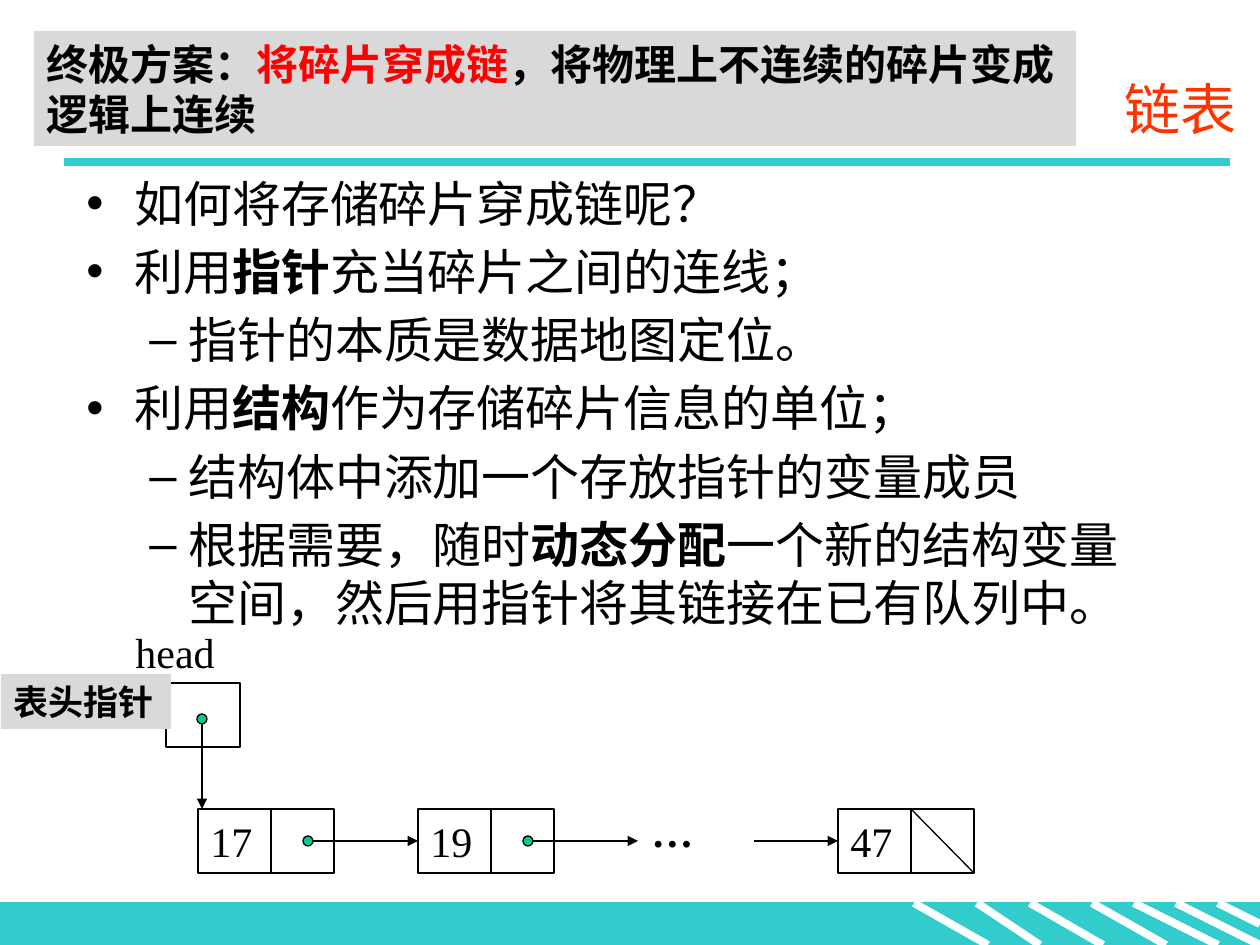
from dataclasses import dataclass

from lxml import etree
from pptx import Presentation
from pptx.dml.color import RGBColor
from pptx.enum.shapes import MSO_CONNECTOR, MSO_SHAPE
from pptx.enum.text import MSO_ANCHOR, PP_ALIGN
from pptx.oxml.ns import qn
from pptx.util import Emu, Pt

STRAIGHT = MSO_CONNECTOR.STRAIGHT
RECT, OVAL = MSO_SHAPE.RECTANGLE, MSO_SHAPE.OVAL
LEFT, RIGHT = PP_ALIGN.LEFT, PP_ALIGN.RIGHT
TOP, MIDDLE = MSO_ANCHOR.TOP, MSO_ANCHOR.MIDDLE
PX_PER_INCH = 126


@dataclass(frozen=True)
class Theme:
    black: str = "000000"
    white: str = "FFFFFF"
    teal: str = "33CCCC"
    green: str = "00CC99"
    orange: str = "FF3300"
    red: str = "FF0000"
    gray: str = "D9D9D9"
    sans: str = "Arial"
    cjk: str = "Noto Sans CJK SC"
    serif: str = "Times New Roman"
    title: int = 32
    body: int = 28
    note: int = 24
    label: int = 20
    thin: float = 0.75
    thick: float = 4.5


THEME = Theme()
BULLETS = (("•", 48, -48), ("–", 102, -39))  # mark, margin, indent per level


def px(length):
    return Emu(round(length * 914400 / PX_PER_INCH))


def rgb(value):
    return RGBColor.from_string(value)


def add_line(slide, start, end, color=THEME.black, width=THEME.thin, arrow=False):
    line = slide.shapes.add_connector(STRAIGHT, *map(px, start + end))
    line.line.color.rgb = rgb(color)
    line.line.width = Pt(width)
    etree.SubElement(line._element.spPr, qn("a:effectLst"))
    if arrow:
        etree.SubElement(line.line._get_or_add_ln(), qn("a:tailEnd"), type="triangle")
    return line


def add_block(slide, box, fill=None, outline=None, preset=RECT):
    block = slide.shapes.add_shape(preset, *map(px, box))
    block.shadow.inherit = False
    if fill:
        block.fill.solid()
        block.fill.fore_color.rgb = rgb(fill)
    else:
        block.fill.background()
    if outline:
        block.line.color.rgb = rgb(outline)
        block.line.width = Pt(THEME.thin)
    else:
        block.line.fill.background()
    return block


def add_text_box(slide, box):
    return slide.shapes.add_textbox(*map(px, box))


def add_run(paragraph, text, size, font=THEME.sans, color=THEME.black, bold=False):
    run = paragraph.add_run()
    run.text = text
    for name, value in {"size": Pt(size), "name": font, "bold": bold}.items():
        setattr(run.font, name, value)
    run.font.color.rgb = rgb(color)
    east_asian = etree.Element(qn("a:ea"), typeface=THEME.cjk)
    run._r.get_or_add_rPr().find(qn("a:latin")).addnext(east_asian)


def write_line(shape, runs, anchor=TOP, align=LEFT, spacing=None):
    """Fill a shape with one paragraph; each run is a dict for add_run."""
    frame = shape.text_frame
    frame.word_wrap = True
    frame.vertical_anchor = anchor
    paragraph = frame.paragraphs[0]
    paragraph.alignment = align
    paragraph.line_spacing = spacing
    for run in runs:
        add_run(paragraph, **run)


def set_bullet(paragraph, level):
    mark, margin, indent = BULLETS[level]
    properties = paragraph._p.get_or_add_pPr()
    properties.set("marL", str(px(margin)))
    properties.set("indent", str(px(indent)))
    etree.SubElement(properties, qn("a:buFont"), typeface=THEME.sans)
    etree.SubElement(properties, qn("a:buChar"), char=mark)


def draw_footer(slide, box):
    left, top, width, height = box
    add_block(slide, box, THEME.teal, THEME.teal)
    stripes = ((914, 74), (977, 63), (1030, 73), (1092, 74), (1134, 84), (1176, 84))
    for start, run in stripes:
        add_line(slide, (left + start, top), (left + start + run, top + height),
                 THEME.white, THEME.thick)
    add_line(slide, (left + 1218, top), (left + width, top + 21), THEME.white, THEME.thick)


def draw_title(slide, box):
    left, top, width, height = box
    rule_y = top + height + 4
    add_line(slide, (64, rule_y), (left + width - 19, rule_y), THEME.teal, THEME.thick)
    write_line(add_text_box(slide, box),
               [dict(text="链表", size=THEME.title, font=THEME.cjk, color=THEME.orange)],
               MIDDLE, RIGHT)


def draw_body(slide, box):
    """Bulleted points, each a level and pieces that alternate plain and bold."""
    points = (
        (0, ["如何将存储碎片穿成链呢？"]),
        (0, ["利用", "指针", "充当碎片之间的连线；"]),
        (1, ["指针的本质是数据地图定位。"]),
        (0, ["利用", "结构", "作为存储碎片信息的单位；"]),
        (1, ["结构体中添加一个存放指针的变量成员"]),
        (1, ["根据需要，随时", "动态分配",
             "一个新的结构变量空间，然后用指针将其链接在已有队列中。"]),
    )
    frame = add_text_box(slide, box).text_frame
    frame.word_wrap = True
    for index, (level, pieces) in enumerate(points):
        paragraph = frame.add_paragraph() if index else frame.paragraphs[0]
        paragraph.level = level
        paragraph.line_spacing = Pt(33)
        paragraph.space_before = Pt(6)
        set_bullet(paragraph, level)
        for position, piece in enumerate(pieces):
            bold = position % 2 == 1
            add_run(paragraph, piece, THEME.body, THEME.cjk if bold else THEME.sans, bold=bold)


def draw_node(slide, box, value):
    left, top, width, height = box
    write_line(add_block(slide, box, outline=THEME.black),
               [dict(text=value, size=THEME.note, font=THEME.serif)])
    add_line(slide, (left + 73, top), (left + 73, top + height))


def draw_dot(slide, center):
    x, y = center
    add_block(slide, (x - 5, y - 5, 10, 10), THEME.green, THEME.black, OVAL)


def draw_linked_list(slide, box):
    left, top, width, height = box
    node_width, node_height = 136, 64
    node_top = top + height - node_height
    middle = node_top + node_height // 2
    first, second, last = left + 75, left + 295, left + 715

    for node_left, value in ((first, "17"), (second, "19"), (last, "47")):
        draw_node(slide, (node_left, node_top, node_width, node_height), value)
    for node_left in (first, second):
        add_line(slide, (node_left + 115, middle), (node_left + 220, middle), arrow=True)
        draw_dot(slide, (node_left + 110, middle))
    write_line(add_text_box(slide, (second + 221, node_top - 10, 95, 63)),
               [dict(text="…", size=THEME.note, font=THEME.serif, bold=True)])
    add_line(slide, (last - 84, middle), (last, middle), arrow=True)
    add_line(slide, (last + 73, node_top), (last + node_width, node_top + node_height))

    head_left, head_top = left + 43, top + 63
    add_block(slide, (head_left, head_top, 74, 64), THEME.white, THEME.black)
    write_line(add_text_box(slide, (left, top, 168, 63)),
               [dict(text="head", size=THEME.note, font=THEME.serif)])
    pointer_x = head_left + 36
    draw_dot(slide, (pointer_x, head_top + 36))
    add_line(slide, (pointer_x, head_top + 41), (pointer_x, node_top), arrow=True)


def draw_note(slide, box, pieces, size, spacing):
    runs = [dict(text=text, size=size, color=color, bold=True) for text, color in pieces]
    write_line(add_block(slide, box, THEME.gray), runs, MIDDLE, spacing=spacing)


def main():
    deck = Presentation()
    deck.slide_width, deck.slide_height = px(1260), px(945)
    slide = deck.slides.add_slide(deck.slide_layouts[6])
    draw_footer(slide, (0, 903, 1260, 42))
    draw_title(slide, (237, 59, 1012, 99))
    draw_body(slide, (74, 168, 1071, 635))
    draw_linked_list(slide, (123, 620, 852, 253))
    draw_note(slide, (1, 674, 170, 55), [("表头指针", THEME.black)], THEME.label, Pt(24))
    draw_note(slide, (34, 31, 1042, 115),
              [("终极方案：", THEME.black), ("将碎片穿成链", THEME.red),
               ("，将物理上不连续的碎片变成逻辑上连续", THEME.black)], THEME.note, Pt(29))
    deck.save("out.pptx")


if __name__ == "__main__":
    main()
